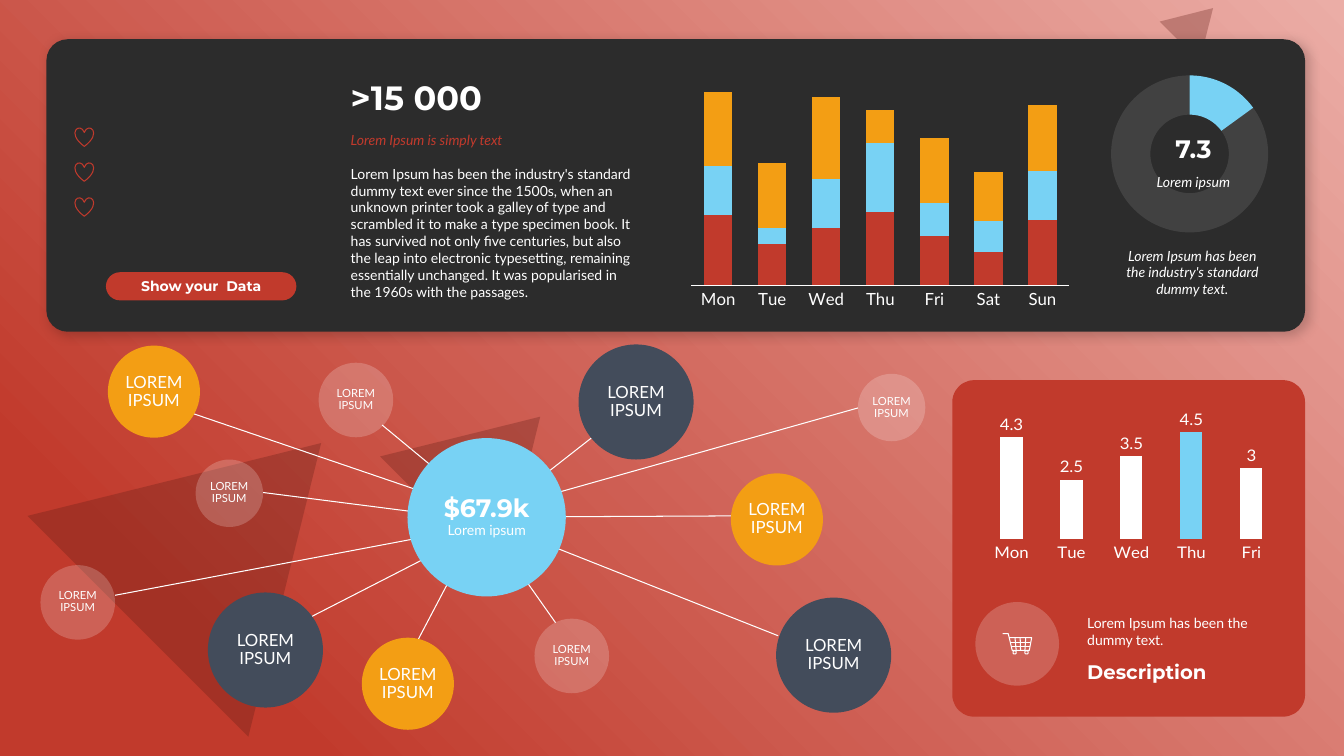
import math

from pptx import Presentation
from pptx import util as u
from pptx.chart import data
from pptx.dml import color
from pptx.enum import chart as chart_enum, shapes, text
from pptx.oxml import parse_xml, ns

RED, BLUE, ORANGE = "C13A2C", "78D2F4", "F39E14"
SLATE, DARK, WHITE, MAROON = "434C5B", "2C2C2C", "FFFFFF", "601D16"
CENTER, MIDDLE, BOTTOM = text.PP_ALIGN.CENTER, text.MSO_ANCHOR.MIDDLE, text.MSO_ANCHOR.BOTTOM
SHAPE, CHART = shapes.MSO_SHAPE, chart_enum.XL_CHART_TYPE
SMALL = {"name": "Lato", "size": u.Pt(10)}
ITALIC = {**SMALL, "italic": True}
BOLD = {"name": "Montserrat", "bold": True}


def xml(body):
    return parse_xml(body.replace(">", f" {ns.nsdecls('a', 'c')}>", 1))


def rgb(value):
    return color.RGBColor.from_string(value)


def paint(fill, value, alpha=None):
    fill.solid()
    fill.fore_color.rgb = rgb(value)
    if alpha:
        fill._xPr.find(".//" + ns.qn("a:srgbClr")).append(xml(f'<a:alpha val="{alpha * 1000}"></a:alpha>'))


def set_all(target, values):
    for name, value in values.items():
        setattr(target, name, value)


def add_shape(slide, kind, left, top, width, height, fill, alpha=None, radius=None):
    shape = slide.shapes.add_shape(kind, *map(u.Cm, (left, top, width, height)))
    shape.shadow.inherit = False
    paint(shape.fill, fill, alpha)
    shape.line.fill.background()
    if radius is not None:
        shape.adjustments[0] = radius
    return shape


def write(shape, lines, anchor=text.MSO_ANCHOR.TOP, align=text.PP_ALIGN.LEFT, ink=WHITE, **spacing):
    """Fill a shape with lines given as (words, font values)."""
    frame = shape.text_frame
    set_all(frame, {"word_wrap": True, "vertical_anchor": anchor})
    for index, (words, font) in enumerate(lines):
        paragraph = frame.add_paragraph() if index else frame.paragraphs[0]
        set_all(paragraph, {"text": words, "alignment": align, **spacing})
        set_all(paragraph.font, font)
        paragraph.font.color.rgb = rgb(ink)
    return frame


def add_text(slide, left, top, width, height, words, font, **options):
    box = slide.shapes.add_textbox(*map(u.Cm, (left, top, width, height)))
    write(box, [(words, font)], **options)


def add_chart(slide, kind, left, top, width, height, categories, series, size):
    chart_data = data.CategoryChartData()
    chart_data.categories = categories
    for number, values in enumerate(series, 1):
        chart_data.add_series(f"Series {number}", values)
    chart = slide.shapes.add_chart(kind, *map(u.Cm, (left, top, width, height)), chart_data).chart
    set_all(chart, {"has_legend": False, "has_title": False})
    set_all(chart.font, {"name": "Lato", "size": u.Pt(size)})
    chart.font.color.rgb = rgb(WHITE)
    return chart


def add_columns(slide, kind, box, categories, series, colors, gap):
    chart = add_chart(slide, kind, *box, categories, series, 12)
    set_all(chart.value_axis, {"visible": False, "has_major_gridlines": False, "minimum_scale": 0})
    chart.category_axis.major_tick_mark = chart_enum.XL_TICK_MARK.NONE
    set_all(chart.plots[0], {"gap_width": gap, "vary_by_categories": False})
    for item, value in zip(chart.plots[0].series, colors):
        paint(item.format.fill, value)
    return chart


def backdrop(slide, left, top, width, height):
    paint(slide.background.fill, DARK)
    base = add_shape(slide, SHAPE.RECTANGLE, left, top, width, height, RED)
    solid = base.fill._xPr.find(ns.qn("a:solidFill"))
    solid.getparent().replace(solid, xml(
        '<a:gradFill rotWithShape="1"><a:gsLst><a:gs pos="0"><a:srgbClr val="EBADA6"/></a:gs>'
        f'<a:gs pos="85000"><a:srgbClr val="{RED}"/></a:gs></a:gsLst>'
        '<a:path path="circle"><a:fillToRect l="100000" b="100000"/></a:path></a:gradFill>'))
    for x, y, wide, high in ((1.85, 10.21, 7.87, 6.53), (10.21, 9.98, 4.29, 3.56), (29.44, 0.03, 1.42, 1.19)):
        triangle = add_shape(slide, SHAPE.ISOSCELES_TRIANGLE, left + x, top + y, wide, high, MAROON, 30)
        triangle.rotation = 45


def summary_panel(slide, left, top, width, height):
    panel = add_shape(slide, SHAPE.ROUNDED_RECTANGLE, left, top, width, height, DARK, radius=0.073)
    panel._element.spPr.find(ns.qn("a:effectLst")).append(xml(
        '<a:outerShdw blurRad="101600" dist="38100" dir="2700000" algn="tl" rotWithShape="0">'
        '<a:srgbClr val="000000"><a:alpha val="20000"/></a:srgbClr></a:outerShdw>'))
    # Hearts and button
    for row in range(3):
        heart = add_shape(slide, SHAPE.HEART, left + 0.72, top + 2.23 + row * 0.88, 0.47, 0.47, RED)
        heart.fill.background()
        paint(heart.line.fill, RED)
        heart.line.width = u.Pt(0.75)
    button = add_shape(slide, SHAPE.ROUNDED_RECTANGLE, left + 1.5, top + 5.87, 4.8, 0.71, RED, radius=0.5)
    write(button, [("Show your  Data", {**BOLD, "size": u.Pt(10)})], anchor=MIDDLE, align=CENTER)
    # Headline and story
    x = left + 7.42
    add_text(slide, x, top + 0.81, 7.67, 1.27, ">15 000", {**BOLD, "size": u.Pt(24)}, anchor=BOTTOM)
    add_text(slide, x, top + 2.21, 7.67, 0.69, "Lorem Ipsum is simply text", ITALIC, ink=RED)
    add_text(slide, x, top + 3.05, 7.67, 3.68,
             "Lorem Ipsum has been the industry's standard dummy text ever since the 1500s, when an "
             "unknown printer took a galley of type and scrambled it to make a type specimen book. "
             "It has survived not only five centuries, but also the leap into electronic typesetting, "
             "remaining essentially unchanged. It was popularised in the 1960s with the passages.", SMALL)
    # Stacked week chart
    week = add_columns(
        slide, CHART.COLUMN_STACKED, (left + 16.05, top + 0.3, 9.93, 6.63),
        ["Mon", "Tue", "Wed", "Thu", "Fri", "Sat", "Sun"],
        [(86, 50, 70, 90, 60, 40, 80), (60, 20, 60, 84, 40, 38, 60), (90, 80, 100, 40, 80, 60, 80)],
        (RED, BLUE, ORANGE), 90)
    week.plots[0].overlap = 100
    week.value_axis.maximum_scale = 280
    week.category_axis.format.line.color.rgb = rgb(WHITE)
    # Doughnut with its figure
    ring = add_chart(slide, CHART.DOUGHNUT, left + 26.67, top + 0.91, 4.37, 3.96, ["1", "2"], [(15, 85)], 10)
    for index, (value, alpha) in enumerate(((BLUE, None), (WHITE, 10))):
        point = ring.plots[0].series[0].points[index].format
        paint(point.fill, value, alpha)
        point.line.fill.background()
    ring._chartSpace.find(".//" + ns.qn("c:holeSize")).set("val", "80")
    plot_area = ring._chartSpace.chart.plotArea
    for old in plot_area.findall(ns.qn("c:layout")):
        plot_area.remove(old)
    plot_area.insert(0, xml(
        '<c:layout><c:manualLayout><c:layoutTarget val="inner"/><c:xMode val="edge"/><c:yMode val="edge"/>'
        '<c:x val="0.03"/><c:y val="0"/><c:w val="0.92"/><c:h val="1"/></c:manualLayout></c:layout>'))
    add_text(slide, left + 27.51, top + 2.24, 2.79, 1.02, "7.3", {**BOLD, "size": u.Pt(18)},
             anchor=BOTTOM, align=CENTER)
    add_text(slide, left + 27.51, top + 3.25, 2.79, 0.69, "Lorem ipsum", ITALIC, align=CENTER)
    add_text(slide, left + 26.85, top + 5.11, 4.06, 1.55,
             "Lorem Ipsum has been the industry's standard dummy text.", ITALIC, align=CENTER)


def bubble(slide, left, top, size, fill, alpha, lines):
    circle = add_shape(slide, SHAPE.OVAL, left, top, size, size, fill, alpha)
    frame = write(circle, lines, anchor=MIDDLE, align=CENTER, line_spacing=0.89)
    set_all(frame, {"margin_left": 0, "margin_right": 0})


def bubble_network(slide, left, top):
    # Diameter, fill, opacity and text size of each kind
    kinds = {"dark": (2.9, SLATE, None, 12), "gold": (2.32, ORANGE, None, 12),
             "pale": (1.88, WHITE, 20, 8), "tiny": (1.7, WHITE, 20, 8)}
    # Kind, corner of the bubble, and both ends of its spoke
    bubbles = (
        ("dark", (13.56, 0), (13.97, 2.29), (12.55, 3.4)),
        ("pale", (7.01, 0.46), (8.61, 2.03), (10.06, 3.23)),
        ("gold", (1.7, 0.03), (3.43, 1.6), (9.83, 3.78)),
        ("tiny", (3.91, 2.9), (5.61, 3.73), (9.6, 4.24)),
        ("pale", (0, 5.56), (1.88, 6.32), (9.68, 4.85)),
        ("gold", (8.1, 7.39), (9.5, 7.47), (10.41, 5.74)),
        ("dark", (4.22, 6.25), (6.63, 6.96), (9.91, 5.28)),
        ("dark", (18.54, 6.38), (18.59, 7.34), (12.75, 5.03)),
        ("tiny", (20.6, 0.74), (20.6, 1.6), (12.75, 3.81)),
        ("gold", (17.4, 3.25), (17.42, 4.32), (13.23, 4.34)),
        ("pale", (12.45, 6.91), (12.98, 7.01), (12.07, 5.72)))
    for _, _, (x1, y1), (x2, y2) in bubbles:
        ends = map(u.Cm, (left + x1, top + y1, left + x2, top + y2))
        spoke = slide.shapes.add_connector(shapes.MSO_CONNECTOR.STRAIGHT, *ends)
        spoke.line.color.rgb = rgb(WHITE)
        spoke.line.width = u.Pt(0.75)
        spoke._element.spPr.append(xml("<a:effectLst></a:effectLst>"))
    for kind, (x, y), _, _ in bubbles:
        size, fill, alpha, points = kinds[kind]
        bubble(slide, left + x, top + y, size, fill, alpha, [("LOREM IPSUM", {**SMALL, "size": u.Pt(points)})])
    bubble(slide, left + 9.25, top + 2.36, 3.99, BLUE, None,
           [("$67.9k", {**BOLD, "size": u.Pt(18)}), ("Lorem ipsum", SMALL)])


def cart_icon(slide, left, top):
    # Handle and basket, then the grid, in hundredths of a centimetre
    strokes = [[(0, 1), (14, 1), (24, 43), (67, 43), (73, 11), (17, 11)], [(20, 22), (70, 22)], [(22, 32), (68, 32)]]
    strokes += [[(x, 11), (x + shift, 43)] for x, shift in ((31, 3), (44, 1), (58, -2))]
    strokes += [[(x + 4 * math.cos(step * math.pi / 8), 48 + 4 * math.sin(step * math.pi / 8))
                 for step in range(17)] for x in (30, 60)]
    builder = slide.shapes.build_freeform(*strokes[0][0], scale=u.Cm(0.01))
    for stroke in strokes:
        builder.move_to(*stroke[0])
        builder.add_line_segments(stroke[1:], close=False)
    cart = builder.convert_to_shape(u.Cm(left), u.Cm(top))
    cart.shadow.inherit = False
    cart.fill.background()
    cart.line.color.rgb = rgb(WHITE)
    cart.line.width = u.Pt(0.75)


def description_panel(slide, left, top, width, height):
    add_shape(slide, SHAPE.ROUNDED_RECTANGLE, left, top, width, height, RED, radius=0.065)
    add_shape(slide, SHAPE.OVAL, left + 0.58, top + 5.59, 2.11, 2.11, WHITE, 20)
    cart_icon(slide, left + 1.27, top + 6.38)
    add_text(slide, left + 3.15, top + 5.79, 5.66, 1.12, "Lorem Ipsum has been the dummy text.", SMALL)
    add_text(slide, left + 3.15, top + 6.91, 5.66, 0.86, "Description", {**BOLD, "size": u.Pt(14)}, anchor=BOTTOM)
    # Five-day chart with one highlighted day
    days = add_columns(slide, CHART.COLUMN_CLUSTERED, (left + 0.58, top + 0.74, 7.87, 3.91),
                       ["Mon", "Tue", "Wed", "Thu", "Fri"], [(4.3, 2.5, 3.5, 4.5, 3)], [WHITE], 171)
    days.category_axis.format.line.fill.background()
    paint(days.plots[0].series[0].points[3].format.fill, BLUE)
    days.plots[0].has_data_labels = True
    set_all(days.plots[0].data_labels,
            {"show_value": True, "position": chart_enum.XL_LABEL_POSITION.OUTSIDE_END})


def main():
    presentation = Presentation()
    set_all(presentation, {"slide_width": u.Cm(33.87), "slide_height": u.Cm(19.05)})
    slide = presentation.slides.add_slide(presentation.slide_layouts[6])
    backdrop(slide, 0, 0, 33.87, 19.05)
    summary_panel(slide, 1.17, 0.99, 31.72, 7.37)
    bubble_network(slide, 1.02, 8.68)
    description_panel(slide, 24, 9.58, 8.89, 8.48)
    presentation.save("out.pptx")


if __name__ == "__main__":
    main()
